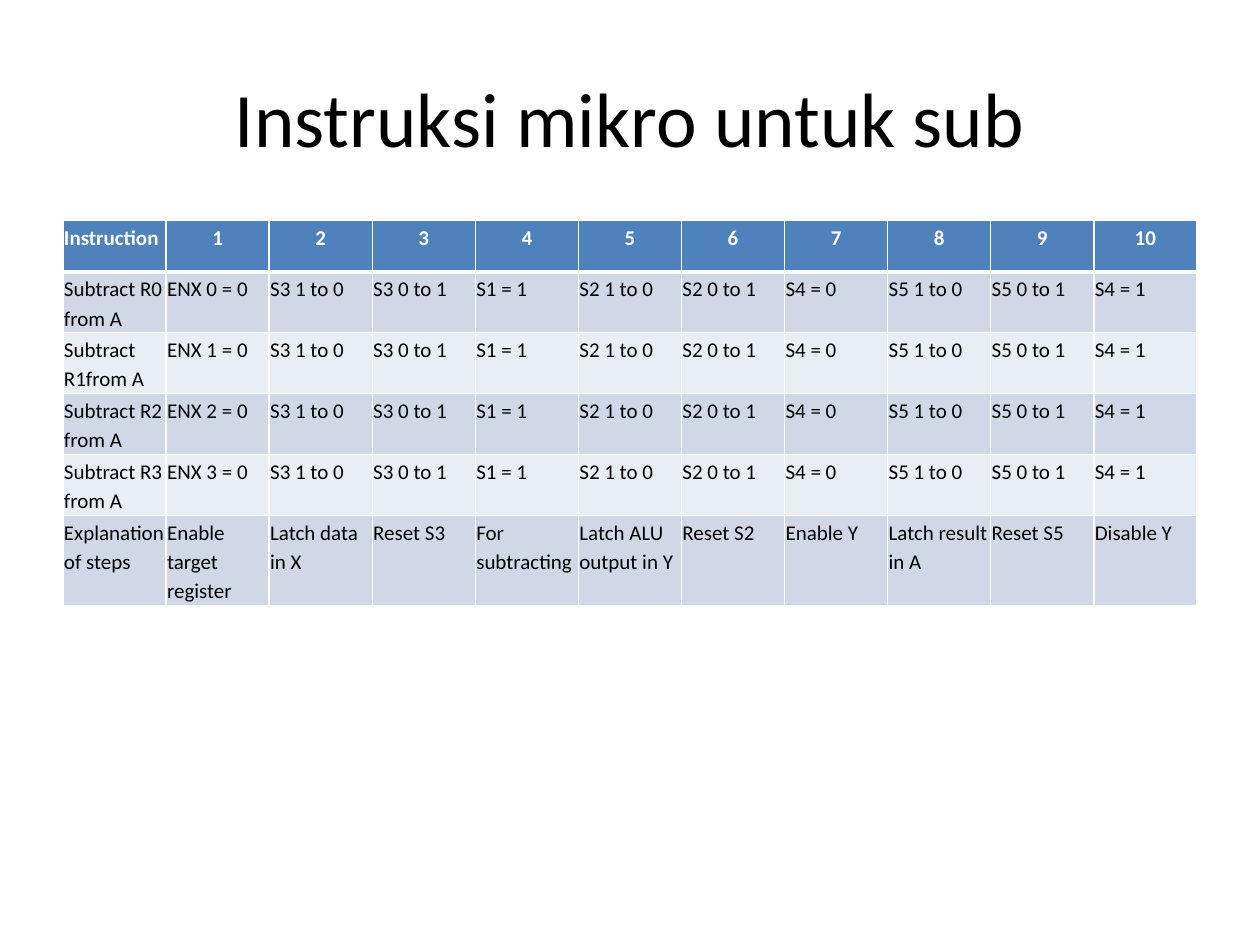
from dataclasses import dataclass

from lxml import etree
from pptx import Presentation
from pptx.dml.color import RGBColor
from pptx.enum.text import MSO_ANCHOR, PP_ALIGN
from pptx.oxml.ns import qn
from pptx.util import Cm, Pt

LEFT, CENTER = PP_ALIGN.LEFT, PP_ALIGN.CENTER
TOP, MIDDLE = MSO_ANCHOR.TOP, MSO_ANCHOR.MIDDLE
TITLE_ONLY = 5


@dataclass(frozen=True)
class Theme:
    font: str = "Calibri"
    title_size: int = 44
    cell_size: int = 12
    text: str = "000000"
    header_text: str = "FFFFFF"
    header_fill: str = "4F81BD"
    bands: tuple = ("D0D8E8", "E9EDF4")
    border: str = "FFFFFF"
    thin: int = 1
    thick: int = 3


THEME = Theme()

HEADER = ["Instruction"] + [str(step) for step in range(1, 11)]
SIGNALS = ["S3 1 to 0", "S3 0 to 1", "S1 = 1", "S2 1 to 0", "S2 0 to 1",
           "S4 = 0", "S5 1 to 0", "S5 0 to 1", "S4 = 1"]
INSTRUCTIONS = ["Subtract R0 from A", "Subtract R1from A",
                "Subtract R2 from A", "Subtract R3 from A"]
EXPLANATION = ["Explanation of steps", "Enable target register",
               "Latch data in X", "Reset S3", "For subtracting",
               "Latch ALU output in Y", "Reset S2", "Enable Y",
               "Latch result in A", "Reset S5", "Disable Y"]
ROWS = [
    HEADER,
    *([name, f"ENX {i} = 0", *SIGNALS] for i, name in enumerate(INSTRUCTIONS)),
    EXPLANATION,
]


def add_run(p, text, size, color, bold=False):
    r = p.add_run()
    r.text = text
    r.font.name = THEME.font
    r.font.size = Pt(size)
    r.font.bold = bold
    r.font.color.rgb = RGBColor.from_string(color)


def set_title(slide, text):
    title = slide.shapes.title
    title.left, title.top = Cm(1.27), Cm(0.76)
    title.width, title.height = Cm(22.86), Cm(3.18)
    tf = title.text_frame
    tf.vertical_anchor = MIDDLE
    p = tf.paragraphs[0]
    p.alignment = CENTER
    add_run(p, text, THEME.title_size, THEME.text)


def set_borders(cell, top, bottom):
    """Draw the four borders; top and bottom are widths in points."""
    tc_pr = cell._tc.get_or_add_tcPr()
    widths = {"a:lnL": THEME.thin, "a:lnR": THEME.thin,
              "a:lnT": top, "a:lnB": bottom}
    for tag, width in widths.items():
        ln = etree.SubElement(tc_pr, qn(tag), w=str(Pt(width)))
        fill = etree.SubElement(ln, qn("a:solidFill"))
        etree.SubElement(fill, qn("a:srgbClr"), val=THEME.border)


def format_cell(cell, text, row, col):
    header = row == 0
    set_borders(cell,
                top=THEME.thick if row == 1 else THEME.thin,
                bottom=THEME.thick if header else THEME.thin)
    cell.fill.solid()
    fill = THEME.header_fill if header else THEME.bands[(row - 1) % 2]
    cell.fill.fore_color.rgb = RGBColor.from_string(fill)
    cell.margin_left = cell.margin_right = Cm(0.02)
    cell.margin_top = cell.margin_bottom = Cm(0.02)
    cell.vertical_anchor = TOP
    p = cell.text_frame.paragraphs[0]
    p.alignment = CENTER if header and col else LEFT
    p.line_spacing = 1.15
    p.space_after = Pt(10)
    add_run(p, text, THEME.cell_size,
            THEME.header_text if header else THEME.text, bold=header)


def add_instruction_table(slide, rows):
    width, row_height = Cm(22.86), Cm(1.03)
    frame = slide.shapes.add_table(len(rows), len(rows[0]), Cm(1.27), Cm(4.45),
                                   width, row_height * len(rows))
    table = frame.table
    for i, texts in enumerate(rows):
        table.rows[i].height = row_height
        for j, text in enumerate(texts):
            format_cell(table.cell(i, j), text, i, j)


def main():
    prs = Presentation()
    prs.slide_width, prs.slide_height = Cm(25.4), Cm(19.05)
    slide = prs.slides.add_slide(prs.slide_layouts[TITLE_ONLY])
    set_title(slide, "Instruksi mikro untuk sub")
    add_instruction_table(slide, ROWS)
    prs.save("out.pptx")


if __name__ == "__main__":
    main()
